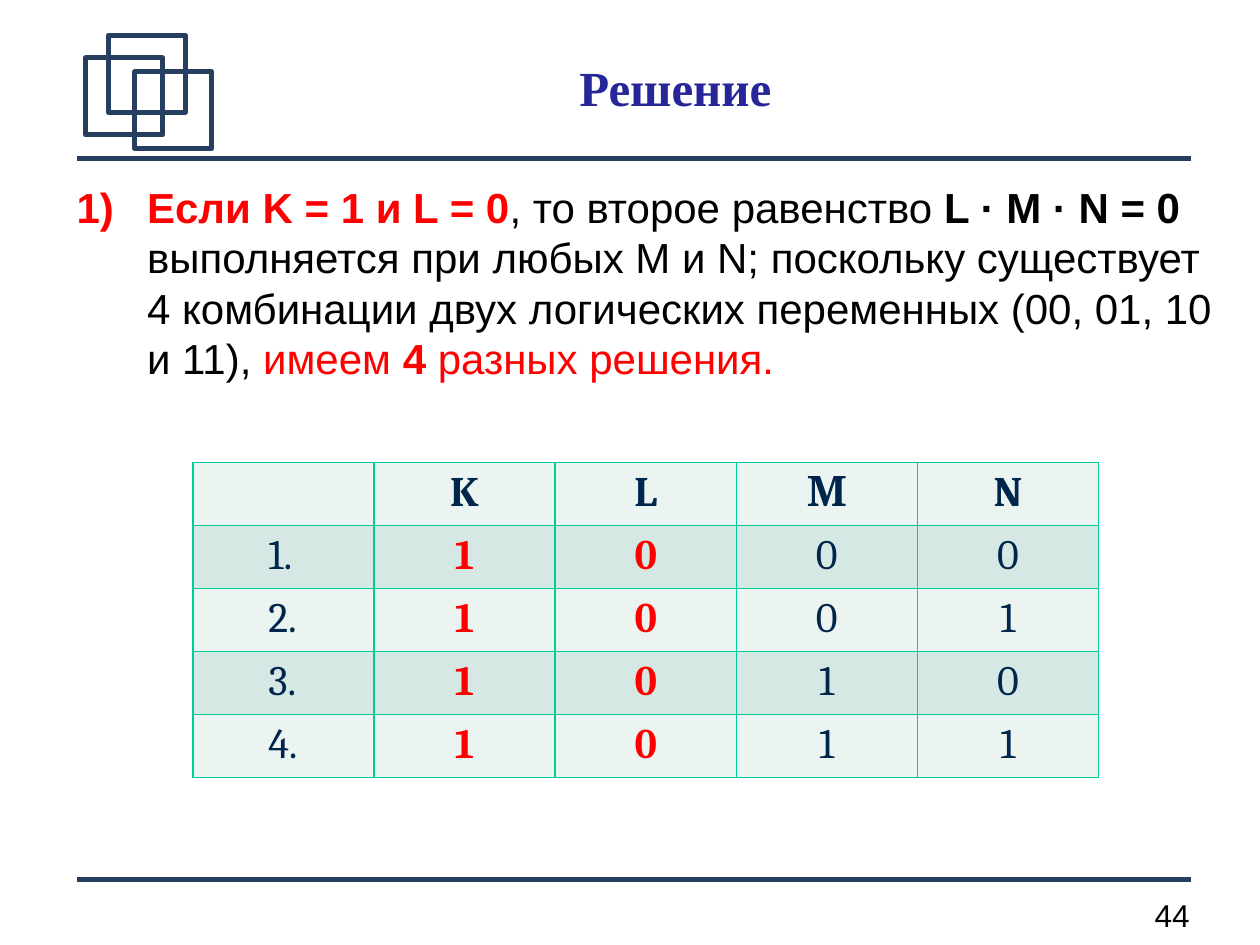
from lxml import etree
from pptx import Presentation
from pptx import util as u
from pptx.dml.color import RGBColor
from pptx.enum import shapes, text
from pptx.oxml.ns import qn

NAVY = RGBColor(0x26, 0x3E, 0x60)
BLUE = RGBColor(0x26, 0x26, 0x99)
INK = RGBColor(0x00, 0x26, 0x4C)
RED = RGBColor(0xFF, 0x00, 0x00)
BLACK = RGBColor(0x00, 0x00, 0x00)
LIGHT = RGBColor(0xEC, 0xF4, 0xF2)
DARK = RGBColor(0xD6, 0xE8, 0xE4)
GREEN = RGBColor(0x00, 0xCC, 0x99)

# The slide is a grid of 100 columns and 75 rows
COLS, ROWS = 100, 75
UNIT = u.Inches(0.1)
RULE = 2.83

HEAD = ["", "K", "L", "М", "N"]
CASES = ["00", "01", "10", "11"]


def grid(*sizes):
    return [u.Emu(round(size * UNIT)) for size in sizes]


def write(para, words, size=24, font="Arial", color=BLACK, bold=False):
    run = para.add_run()
    run.text = words
    run.font.size = u.Pt(size)
    run.font.name = font
    run.font.color.rgb = color
    run.font.bold = bold


def indent(para, left, hang):
    props = para._p.get_or_add_pPr()
    props.set("marL", str(u.Inches(left)))
    props.set("indent", str(-u.Inches(hang)))
    return props


def box(slide, *place):
    frame = slide.shapes.add_textbox(*grid(*place)).text_frame
    frame.word_wrap = True
    return frame.paragraphs[0]


def rule(slide, row):
    line = slide.shapes.add_connector(
        shapes.MSO_CONNECTOR.STRAIGHT, *grid(6.1, row, 94.5, row))
    line.line.color.rgb = NAVY
    line.line.width = u.Pt(RULE)
    etree.SubElement(line._element.spPr, qn("a:effectLst"))


def square(slide, left, top):
    shape = slide.shapes.add_shape(
        shapes.MSO_SHAPE.ROUNDED_RECTANGLE, *grid(left, top, 6.1, 6.1))
    shape.adjustments[0] = 0
    shape.shadow.inherit = False
    shape.fill.background()
    shape.line.color.rgb = NAVY
    shape.line.width = u.Pt(RULE)


def title(slide):
    shape = slide.shapes.title
    shape.left, shape.top, shape.width, shape.height = grid(11.7, 2.3, 83.8, 7.6)
    frame = shape.text_frame
    frame.vertical_anchor = text.MSO_ANCHOR.BOTTOM
    para = frame.paragraphs[0]
    para.alignment = text.PP_ALIGN.CENTER
    para.line_spacing = 0.98
    write(para, "Решение", size=28, font="Times New Roman", color=BLUE, bold=True)


def body(slide):
    para = box(slide, 5.1, 13.9, 93, 17.2)
    props = indent(para, 0.56, 0.56)
    etree.SubElement(props, qn("a:buFont"), typeface="+mj-lt")
    etree.SubElement(props, qn("a:buAutoNum"), type="arabicParenR")
    write(para, "Если K = 1 и L = 0", color=RED, bold=True)
    write(para, ", то второе равенство ")
    write(para, "L · M · N = 0", bold=True)
    write(para, " ", size=18, bold=True)
    write(para, "выполняется при любых М и N; поскольку существует "
                "4 комбинации двух логических переменных (00, 01, 10 и 11), ")
    write(para, "имеем ", color=RED)
    write(para, "4 ", color=RED, bold=True)
    write(para, "разных решения.", color=RED)


def border(cell):
    props = cell._tc.get_or_add_tcPr()
    for side in ("lnL", "lnR", "lnT", "lnB"):
        line = etree.SubElement(props, qn("a:" + side), w=str(u.Pt(1)))
        fill = etree.SubElement(line, qn("a:solidFill"))
        etree.SubElement(fill, qn("a:srgbClr"), val=str(GREEN))


def table(slide):
    data = [HEAD] + [[f"{num}.", "1", "0", *case]
                     for num, case in enumerate(CASES, 1)]
    grid_tab = slide.shapes.add_table(
        len(data), len(HEAD), *grid(15.3, 36.7, 71.9, 25)).table
    for r, row in enumerate(data):
        for c, words in enumerate(row):
            cell = grid_tab.cell(r, c)
            border(cell)
            cell.fill.solid()
            cell.fill.fore_color.rgb = DARK if r % 2 else LIGHT
            para = cell.text_frame.paragraphs[0]
            if not words:
                continue
            para.line_spacing = 0.98
            if c == 0:
                indent(para, 0.88, 0.38)
            else:
                para.alignment = text.PP_ALIGN.CENTER
            fixed = r > 0 and c in (1, 2)
            write(para, words, font="Cambria", color=RED if fixed else INK,
                  bold=r == 0 or fixed)


def main():
    deck = Presentation()
    deck.slide_width, deck.slide_height = grid(COLS, ROWS)
    slide = deck.slides.add_slide(deck.slide_layouts[5])

    # Frame: rules, corner squares and page number
    for row in (69.8, 12.6):
        rule(slide, row)
    for left, top in ((6.8, 4.6), (8.6, 2.8), (10.7, 5.7)):
        square(slide, left, top)
    page = box(slide, 84.5, 70.6, 10.9, 4)
    page.alignment = text.PP_ALIGN.RIGHT
    write(page, "44", size=18)

    # Content
    body(slide)
    table(slide)
    title(slide)
    deck.save("out.pptx")


if __name__ == "__main__":
    main()
